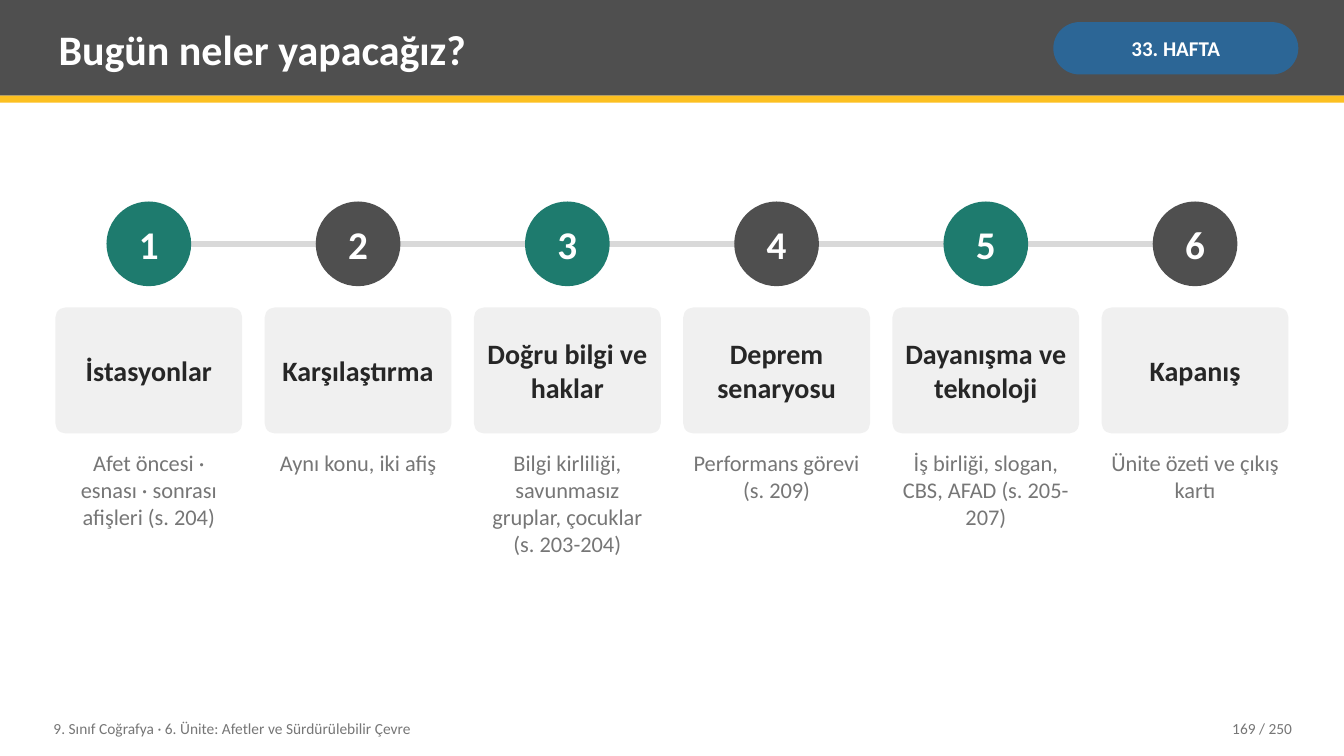
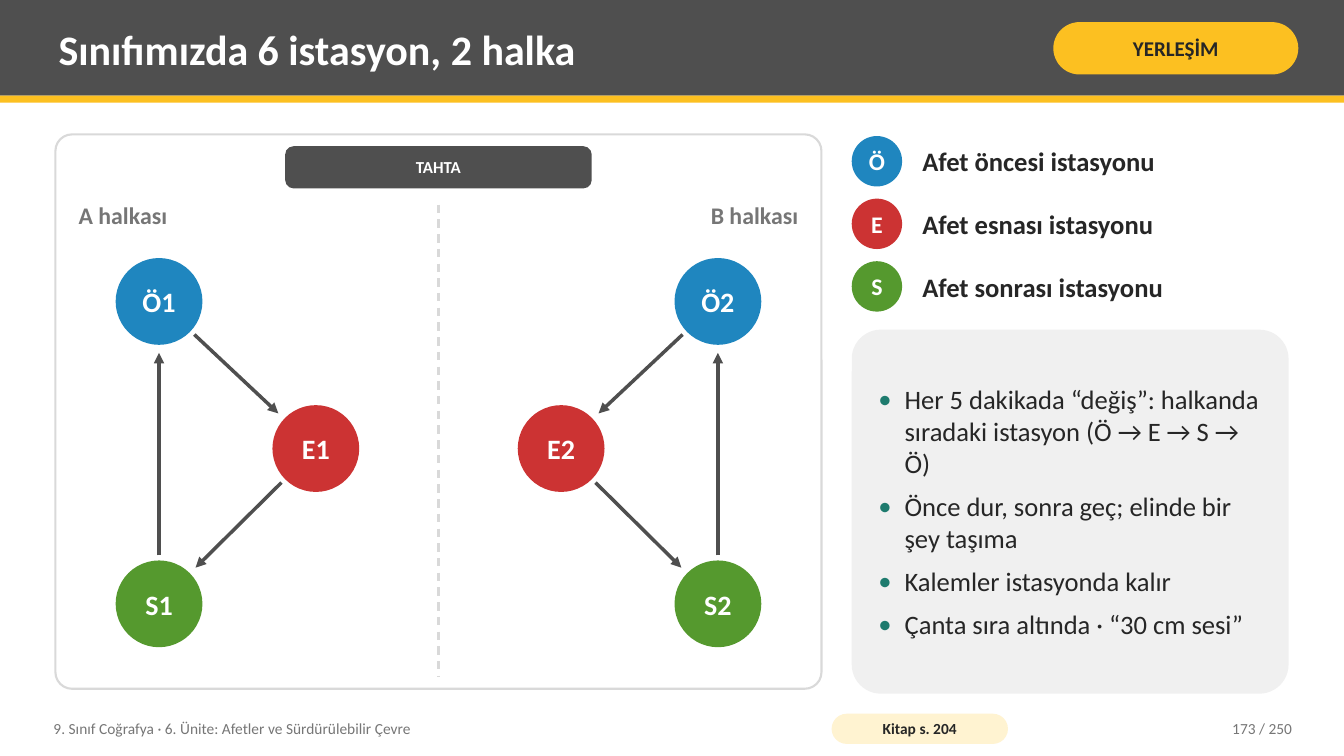
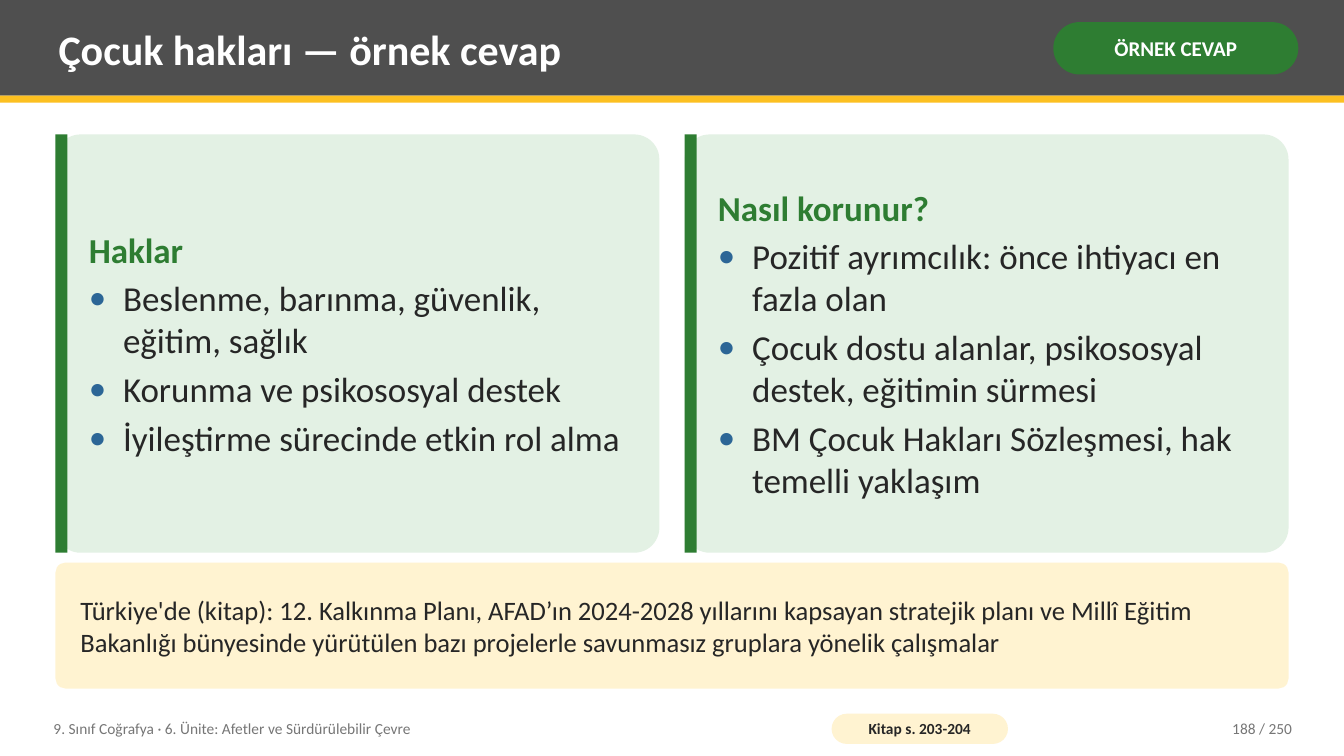
"""Build three geography lesson slides about disasters and a sustainable environment."""
from dataclasses import dataclass
from math import dist

from lxml.etree import SubElement
from pptx import Presentation
from pptx.dml.color import RGBColor
from pptx.enum.dml import MSO_LINE
from pptx.enum.shapes import MSO_CONNECTOR, MSO_SHAPE as Preset
from pptx.enum.text import MSO_ANCHOR as Anchor, PP_ALIGN as Align
from pptx.oxml.ns import qn
from pptx.shapes.autoshape import Shape
from pptx.slide import Slide
from pptx.util import Pt

FONT = "Calibri"
COLORS = {
    "white": "FFFFFF", "ink": "262626", "slate": "4F4F4F", "muted": "767676",
    "rule": "D9D9D9", "panel": "F0F0F0", "yellow": "FCC021", "cream": "FFF3D1",
    "teal": "1E7B6E", "navy": "2C6696", "leaf": "2E7D32", "mint": "E3F1E4",
    "blue": "1F86BF", "red": "CC3333", "green": "55992E",
}
PAGE_W, PAGE_H = 960, 540
LEFT, CONTENT_W, TOP = 39.6, 880.8, 96
UNIT = "9. Sınıf Coğrafya · 6. Ünite: Afetler ve Sürdürülebilir Çevre"
PAGES = 250


@dataclass(frozen=True)
class Box:
    left: float
    top: float
    width: float
    height: float


@dataclass(frozen=True)
class Point:
    x: float
    y: float


@dataclass(frozen=True)
class Step:
    title: str
    detail: str


@dataclass(frozen=True)
class Station:
    letter: str
    label: str
    color: str
    center: Point


@dataclass(frozen=True)
class Card:
    heading: str
    points: tuple[str, ...]


STEPS = (
    Step("İstasyonlar", "Afet öncesi · esnası · sonrası afişleri (s. 204)"),
    Step("Karşılaştırma", "Aynı konu, iki afiş"),
    Step("Doğru bilgi ve haklar", "Bilgi kirliliği, savunmasız gruplar, çocuklar (s. 203-204)"),
    Step("Deprem senaryosu", "Performans görevi (s. 209)"),
    Step("Dayanışma ve teknoloji", "İş birliği, slogan, CBS, AFAD (s. 205-207)"),
    Step("Kapanış", "Ünite özeti ve çıkış kartı"),
)
STATIONS = (
    Station("Ö", "Afet öncesi istasyonu", "blue", Point(113.6, 215.3)),
    Station("E", "Afet esnası istasyonu", "red", Point(225.6, 320.4)),
    Station("S", "Afet sonrası istasyonu", "green", Point(113.6, 431.3)),
)
RULES = (
    "Her 5 dakikada “değiş”: halkanda sıradaki istasyon (Ö → E → S → Ö)",
    "Önce dur, sonra geç; elinde bir şey taşıma",
    "Kalemler istasyonda kalır",
    "Çanta sıra altında · “30 cm sesi”",
)
CARDS = (
    Card("Haklar", (
        "Beslenme, barınma, güvenlik, eğitim, sağlık",
        "Korunma ve psikososyal destek",
        "İyileştirme sürecinde etkin rol alma",
    )),
    Card("Nasıl korunur?", (
        "Pozitif ayrımcılık: önce ihtiyacı en fazla olan",
        "Çocuk dostu alanlar, psikososyal destek, eğitimin sürmesi",
        "BM Çocuk Hakları Sözleşmesi, hak temelli yaklaşım",
    )),
)
POLICY = (
    "Türkiye'de (kitap): 12. Kalkınma Planı, AFAD’ın 2024-2028 yıllarını kapsayan "
    "stratejik planı ve Millî Eğitim Bakanlığı bünyesinde yürütülen bazı projelerle "
    "savunmasız gruplara yönelik çalışmalar"
)


def rgb(color: str) -> RGBColor:
    return RGBColor.from_string(COLORS[color])


def write(target: Shape, text: str, *, size: float, color: str = "ink", bold: bool = False,
          align: Align = Align.LEFT, anchor: Anchor = Anchor.MIDDLE,
          insets: tuple[float, float] = (5.8, 2.9), wrap: bool = True,
          bullet: str = "", indent: float = 0, after: float = 0) -> None:
    frame = target.text_frame
    paragraph = frame.add_paragraph() if frame.text else frame.paragraphs[0]
    frame.word_wrap = wrap
    frame.vertical_anchor = anchor
    frame.margin_left = frame.margin_right = Pt(insets[0])
    frame.margin_top = frame.margin_bottom = Pt(insets[1])
    paragraph.alignment = align
    paragraph.space_after = Pt(after)
    if bullet:
        props = paragraph._p.get_or_add_pPr()
        props.set("marL", str(Pt(indent)))
        props.set("indent", str(-Pt(indent)))
        SubElement(SubElement(props, qn("a:buClr")), qn("a:srgbClr"), val=COLORS[bullet])
        SubElement(props, qn("a:buFont"), typeface=FONT)
        SubElement(props, qn("a:buChar"), char="•")
    run = paragraph.add_run()
    run.text = text
    run.font.name = FONT
    run.font.size = Pt(size)
    run.font.bold = bold
    run.font.color.rgb = rgb(color)


def add_block(slide: Slide, box: Box, fill: str, *, preset: Preset = Preset.RECTANGLE,
              radius: float = 0, outline: str = "") -> Shape:
    kind = Preset.ROUNDED_RECTANGLE if radius else preset
    block = slide.shapes.add_shape(kind, Pt(box.left), Pt(box.top), Pt(box.width), Pt(box.height))
    block.shadow.inherit = False
    block.fill.solid()
    block.fill.fore_color.rgb = rgb(fill)
    if radius:
        block.adjustments[0] = radius
    if outline:
        block.line.color.rgb = rgb(outline)
        block.line.width = Pt(1.5)
    else:
        block.line.fill.background()
    return block


def add_label(slide: Slide, box: Box) -> Shape:
    return slide.shapes.add_textbox(Pt(box.left), Pt(box.top), Pt(box.width), Pt(box.height))


def add_disc(slide: Slide, center: Point, diameter: float, fill: str, text: str, size: float) -> None:
    box = Box(center.x - diameter / 2, center.y - diameter / 2, diameter, diameter)
    disc = add_block(slide, box, fill, preset=Preset.OVAL)
    write(disc, text, size=size, color="white", bold=True, align=Align.CENTER,
          insets=(0, 0), wrap=False)


def add_line(slide: Slide, start: Point, end: Point, color: str, width: float, *,
             dashed: bool = False, arrow: bool = False) -> None:
    line = slide.shapes.add_connector(MSO_CONNECTOR.STRAIGHT, Pt(start.x), Pt(start.y),
                                      Pt(end.x), Pt(end.y))
    line.line.color.rgb = rgb(color)
    line.line.width = Pt(width)
    if dashed:
        line.line.dash_style = MSO_LINE.DASH
    props = line._element.spPr
    if arrow:
        SubElement(props.get_or_add_ln(), qn("a:tailEnd"), type="triangle")
    SubElement(props, qn("a:effectLst"))


def add_arrow_between(slide: Slide, origin: Point, goal: Point) -> None:
    length = dist((origin.x, origin.y), (goal.x, goal.y))

    def along(distance: float) -> Point:
        share = distance / length
        return Point(origin.x + (goal.x - origin.x) * share,
                     origin.y + (goal.y - origin.y) * share)

    add_line(slide, along(34.6), along(length - 36.7), "slate", 2.5, arrow=True)


def add_bullets(target: Shape, points: tuple[str, ...], *, size: float, bullet: str,
                indent: float, after: float, insets: tuple[float, float]) -> None:
    for number, point in enumerate(points, 1):
        write(target, point, size=size, bullet=bullet, indent=indent, insets=insets,
              after=after if number < len(points) else 0)


def add_framed_slide(deck: Presentation, title: str, tag: str, tag_fill: str, page: int, *,
                     tag_color: str = "white", source: str = "") -> Slide:
    slide = deck.slides.add_slide(deck.slide_layouts[6])
    add_block(slide, Box(0, 0, PAGE_W, 68.4), "slate")
    add_block(slide, Box(0, 68.4, PAGE_W, 5), "yellow")
    write(add_label(slide, Box(36, 5, 702, 59)), title, size=30, color="white", bold=True)
    badge = add_block(slide, Box(752.4, 15.8, 175, 37.4), tag_fill, radius=0.5)
    write(badge, tag, size=15, color=tag_color, bold=True, align=Align.CENTER, insets=(3.6, 1.4))
    write(add_label(slide, Box(32.4, 507, 547, 26)), UNIT, size=11, color="muted")
    write(add_label(slide, Box(813.6, 507, 115.2, 26)), f"{page} / {PAGES}", size=11,
          color="muted", align=Align.RIGHT)
    if source:
        pill = add_block(slide, Box(594, 509.8, 126, 21.6), "cream", radius=0.5)
        write(pill, source, size=11, bold=True, align=Align.CENTER, insets=(2.9, 0))
    return slide


def build_agenda(deck: Presentation) -> None:
    slide = add_framed_slide(deck, "Bugün neler yapacağız?", "33. HAFTA", "navy", 169)
    gap, track_y = 16, 174.2
    width = (CONTENT_W - gap * (len(STEPS) - 1)) / len(STEPS)
    lefts = [LEFT + index * (width + gap) for index in range(len(STEPS))]
    centers = [Point(left + width / 2, track_y) for left in lefts]
    add_line(slide, centers[0], centers[-1], "rule", 4)
    for number, (step, left, center) in enumerate(zip(STEPS, lefts, centers), 1):
        add_disc(slide, center, 60.5, "teal" if number % 2 else "slate", str(number), 28)
        tile = add_block(slide, Box(left, 219.6, width, 90), "panel", radius=0.08)
        write(tile, step.title, size=20, bold=True, align=Align.CENTER, insets=(5.8, 5.8))
        write(add_label(slide, Box(left, 318.2, width, 136.8)), step.detail, size=16,
              color="muted", align=Align.CENTER, anchor=Anchor.TOP)


def add_ring(slide: Slide, number: int, centers: list[Point]) -> None:
    for origin, goal in zip(centers, centers[1:] + centers[:1]):
        add_arrow_between(slide, origin, goal)
    for station, center in zip(STATIONS, centers):
        add_disc(slide, center, 62, station.color, f"{station.letter}{number}", 20)


def build_stations(deck: Presentation) -> None:
    slide = add_framed_slide(deck, "Sınıfımızda 6 istasyon, 2 halka", "YERLEŞİM", "yellow", 173,
                             tag_color="ink", source="Kitap s. 204")
    room = Box(LEFT, TOP, 547.2, 396)
    middle = room.left + room.width / 2
    add_block(slide, room, "white", radius=0.03, outline="rule")
    board = add_block(slide, Box(middle - 109.5, 104.4, 219, 30.2), "slate", radius=0.2)
    write(board, "TAHTA", size=12, color="white", bold=True, align=Align.CENTER, insets=(10, 5.8))
    add_line(slide, Point(middle, 146.2), Point(middle, 483.2), "rule", 1.5, dashed=True)

    ring_a = [station.center for station in STATIONS]
    ring_b = [Point(2 * middle - center.x, center.y) for center in ring_a]
    rings = (("A halkası", 50.4, Align.LEFT, ring_a), ("B halkası", 324, Align.RIGHT, ring_b))
    for number, (name, left, align, centers) in enumerate(rings, 1):
        write(add_label(slide, Box(left, 140.4, 252, 30.2)), name, size=17, color="muted",
              bold=True, align=align, anchor=Anchor.TOP)
        add_ring(slide, number, centers)

    side = 608.4
    for row, station in enumerate(STATIONS):
        y = 115.2 + row * 44.7
        add_disc(slide, Point(side + 18, y), 36, station.color, station.letter, 17)
        write(add_label(slide, Box(653, y - 19.5, 267, 39)), station.label, size=19, bold=True)
    rules = add_block(slide, Box(side, 235.5, LEFT + CONTENT_W - side, 260), "panel", radius=0.08)
    add_bullets(rules, RULES, size=19, bullet="teal", indent=18.7, after=8, insets=(13, 5.8))


def build_rights(deck: Presentation) -> None:
    slide = add_framed_slide(deck, "Çocuk hakları — örnek cevap", "ÖRNEK CEVAP", "leaf", 188,
                             source="Kitap s. 203-204")
    gap, height = 18, 298.8
    width = (CONTENT_W - gap) / len(CARDS)
    for column, card in enumerate(CARDS):
        left = LEFT + column * (width + gap)
        add_block(slide, Box(left, TOP, width, height), "mint", radius=0.06)
        add_block(slide, Box(left, TOP, 8.6, height), "leaf")
        body = add_label(slide, Box(left + 18, TOP + 4, width - 25, height - 8))
        write(body, card.heading, size=25, color="leaf", bold=True, after=4)
        add_bullets(body, card.points, size=25, bullet="navy", indent=24.5, after=5,
                    insets=(5.8, 2.9))
    policy = add_block(slide, Box(LEFT, 401.8, CONTENT_W, 90), "cream", radius=0.08)
    write(policy, POLICY, size=19, insets=(15.8, 5.8))


def main() -> None:
    deck = Presentation()
    deck.slide_width, deck.slide_height = Pt(PAGE_W), Pt(PAGE_H)
    build_agenda(deck)
    build_stations(deck)
    build_rights(deck)
    deck.save("out.pptx")


if __name__ == "__main__":
    main()
